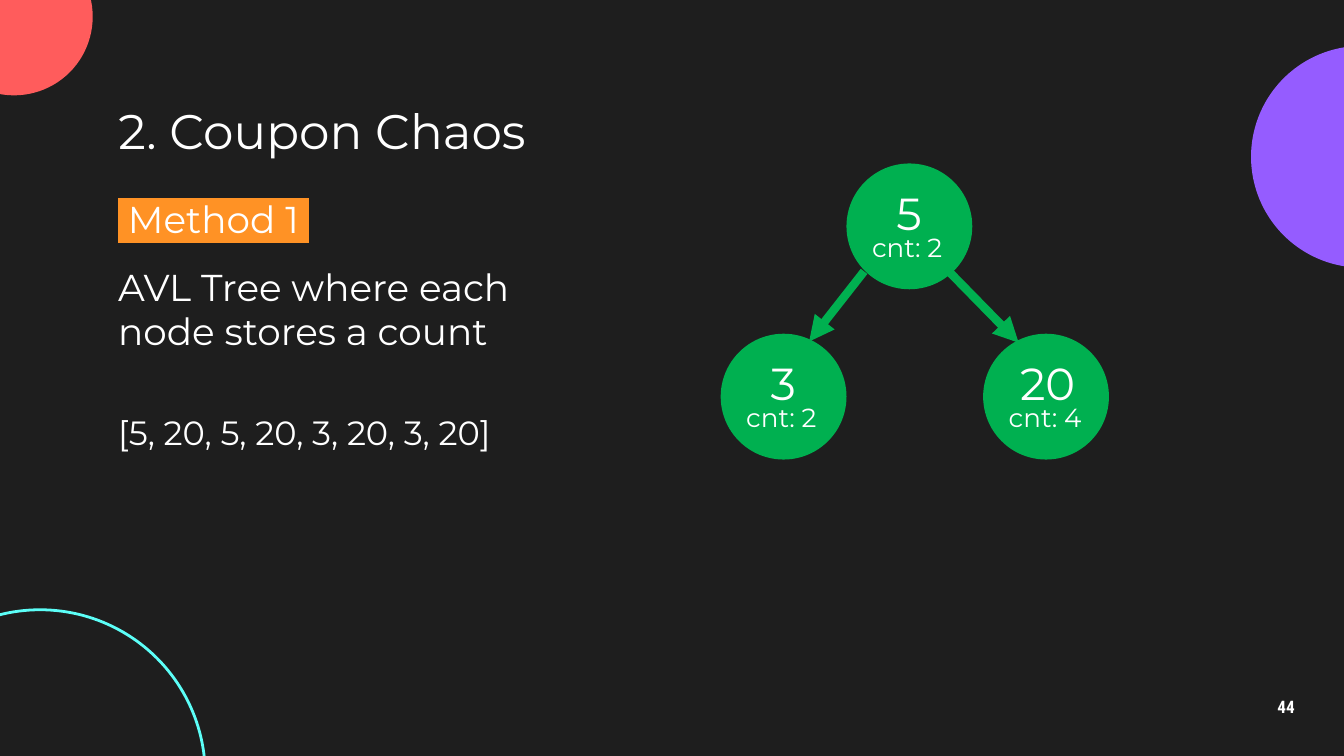
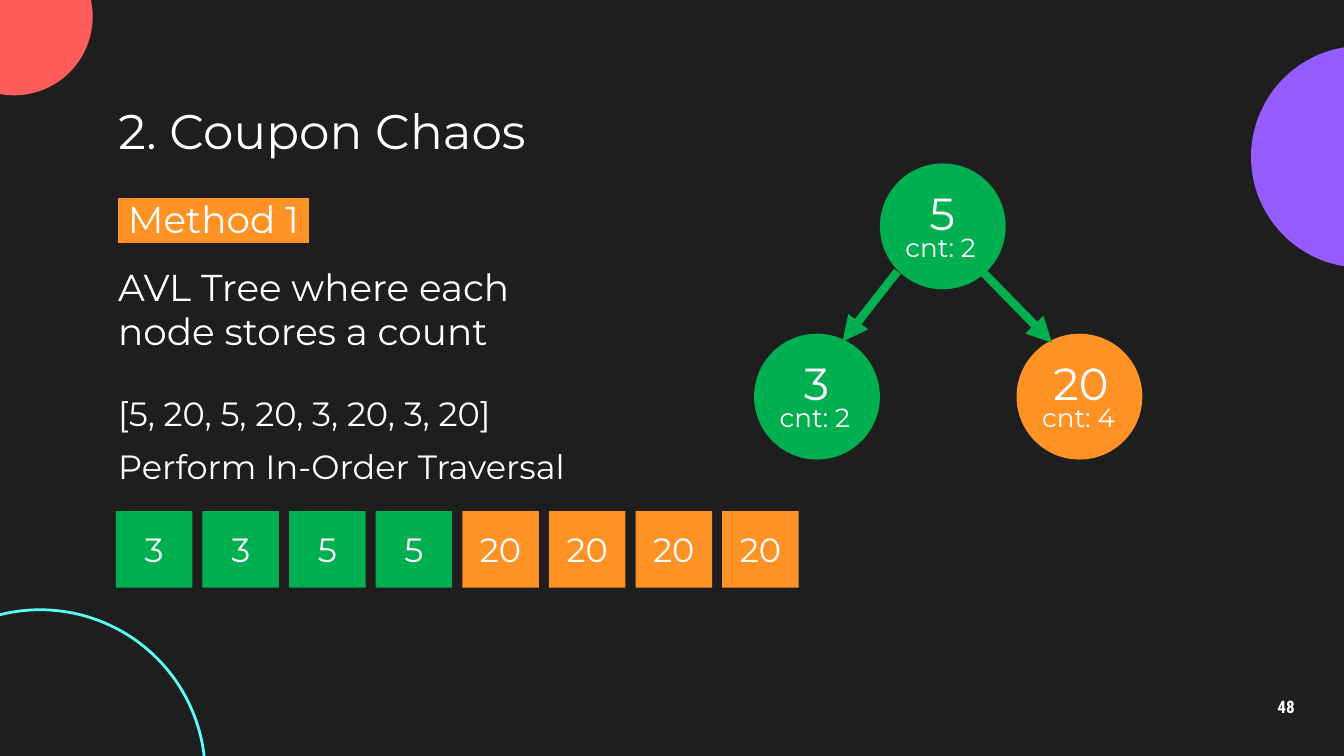
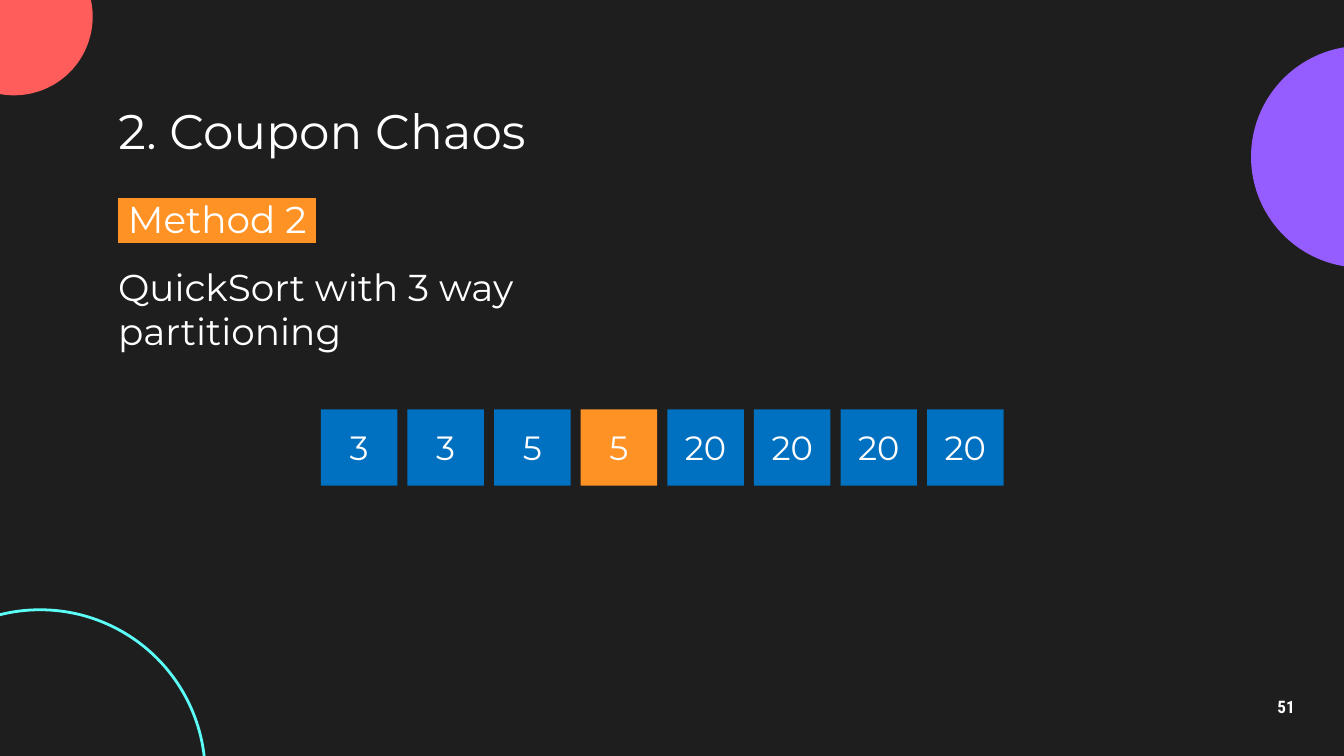
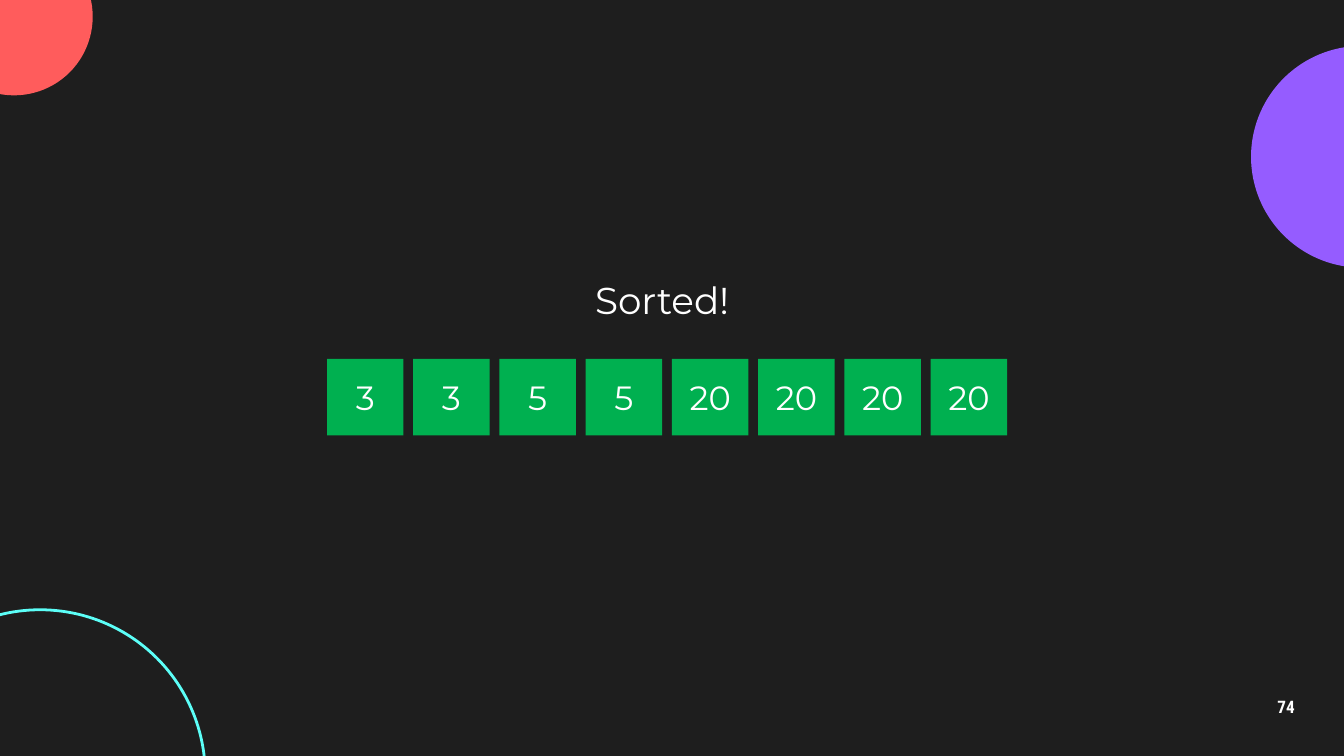
import pptx
import pptx.dml.color
import pptx.enum.shapes
import pptx.enum.text
import pptx.oxml
import pptx.oxml.ns
import pptx.util
from lxml import etree

Pt = pptx.util.Pt
RGBColor = pptx.dml.color.RGBColor
SHAPES = pptx.enum.shapes.MSO_SHAPE
ALIGN = pptx.enum.text.PP_ALIGN
ANCHOR = pptx.enum.text.MSO_ANCHOR
qn = pptx.oxml.ns.qn

BACKGROUND = RGBColor(0x1E, 0x1E, 0x1E)
WHITE = RGBColor(0xFF, 0xFF, 0xFF)
PURPLE = RGBColor(0x95, 0x5C, 0xFF)
CORAL = RGBColor(0xFF, 0x5C, 0x5C)
CYAN = RGBColor(0x5C, 0xFF, 0xF8)
GREEN = RGBColor(0x00, 0xB0, 0x50)
ORANGE = RGBColor(0xFF, 0x92, 0x25)
BLUE = RGBColor(0x00, 0x70, 0xC0)

TITLE = "2. Coupon Chaos"
COUPONS = "[5, 20, 5, 20, 3, 20, 3, 20]"
SORTED_COUPONS = [3, 3, 5, 5, 20, 20, 20, 20]
AVL_METHOD = (" Method 1 ", "AVL Tree where each node stores a count")
QUICKSORT_METHOD = (" Method 2 ", "QuickSort with 3 way partitioning")

# Captions: text, top. Rows: left, top, pitch, colours.
SLIDES = [
    {
        "number": 44, "title": TITLE, "method": AVL_METHOD,
        "captions": [(COUPONS, 217.4)],
        "tree": {"left": 453.5, "colors": [GREEN, GREEN, GREEN]},
    },
    {
        "number": 48, "title": TITLE, "method": AVL_METHOD,
        "captions": [(COUPONS, 206.9), ("Perform In-Order Traversal", 235.4)],
        "tree": {"left": 471.4, "colors": [GREEN, GREEN, ORANGE]},
        "row": (62.1, 273.9, 46.4, [GREEN] * 4 + [ORANGE] * 4),
    },
    {
        "number": 51, "title": TITLE, "method": QUICKSORT_METHOD,
        "row": (171.9, 219.3, 46.4, [BLUE] * 3 + [ORANGE] + [BLUE] * 4),
    },
    {
        "number": 74, "message": "Sorted!",
        "row": (175.2, 192.3, 46.2, [GREEN] * 8),
    },
]

# Tree geometry is relative to the top left of the root node.
NODE_SIZE = 67.4
TREE_TOP = 87.6
NODES = [("5", "cnt: 2", 0, 0), ("3", "cnt: 2", -67.4, 91.2), ("20", "cnt: 4", 73.2, 91.2)]
ARROWS = [(9.4, 57.8, -20, 95.4), (55.4, 58.4, 92.2, 96)]
VALUE_BOXES = {1: (19.6, 27.4), 2: (12.7, 47.5)}  # digits: (offset, width)
CELL_SIZE = 41

DECORATIONS = [
    ((670.2, 24.6, 118.8, 118.8), PURPLE, None),
    ((-34.6, -33.2, 84.3, 84.3), CORAL, None),
    ((-67, 326.7, 177, 177), None, CYAN),
]


def format_text(paragraph, **values):
    settings = {"name": "Montserrat", "size": Pt(18), "bold": False, **values}
    for name, value in settings.items():
        setattr(paragraph.font, name, value)
    paragraph.font.color.rgb = WHITE


def format_frame(frame, inset=7.2, anchor=ANCHOR.TOP):
    settings = {
        "word_wrap": True,
        "auto_size": pptx.enum.text.MSO_AUTO_SIZE.NONE,
        "vertical_anchor": anchor,
        "margin_left": Pt(7.2), "margin_right": Pt(7.2),
        "margin_top": Pt(inset), "margin_bottom": Pt(inset),
    }
    for name, value in settings.items():
        setattr(frame, name, value)


def add_text(slide, box, text, size, align=ALIGN.LEFT, inset=7.2, anchor=ANCHOR.TOP, **font):
    frame = slide.shapes.add_textbox(*map(Pt, box)).text_frame
    format_frame(frame, inset, anchor)
    paragraph = frame.paragraphs[0]
    paragraph.text = text
    paragraph.alignment = align
    format_text(paragraph, size=Pt(size), **font)
    return frame


def add_filled_shape(slide, kind, box, fill, line=None):
    shape = slide.shapes.add_shape(kind, *map(Pt, box))
    shape.shadow.inherit = False
    if fill is None:
        shape.fill.background()
    else:
        shape.fill.solid()
        shape.fill.fore_color.rgb = fill
    if line is None:
        shape.line.fill.background()
    else:
        shape.line.color.rgb = line
        shape.line.width = Pt(1.5)
    return shape


def add_title(slide, text):
    title = slide.shapes.title
    title.left, title.top, title.width, title.height = map(Pt, (56.2, 51.1, 607.7, 36.7))
    format_frame(title.text_frame, anchor=ANCHOR.MIDDLE)
    paragraph = title.text_frame.paragraphs[0]
    paragraph.text = text
    paragraph.alignment = ALIGN.LEFT
    format_text(paragraph, size=Pt(26))


def highlight(run, color):
    run.font.color.rgb = WHITE
    fill = run.font._element.find(qn("a:solidFill"))
    mark = pptx.oxml.parse_xml(
        f'<a:highlight {pptx.oxml.ns.nsdecls("a")}><a:srgbClr val="{color}"/></a:highlight>')
    fill.addnext(mark)


def add_method(slide, label, description):
    frame = add_text(slide, (56.2, 98.1, 270, 36.7), label, 20)
    highlight(frame.paragraphs[0].runs[0], ORANGE)
    paragraph = frame.add_paragraph()
    paragraph.text = description
    paragraph.space_before = Pt(12)
    format_text(paragraph, size=Pt(20))


def add_arrow(slide, points):
    arrow = slide.shapes.add_connector(
        pptx.enum.shapes.MSO_CONNECTOR.STRAIGHT, *map(Pt, points))
    arrow.line.color.rgb = GREEN
    arrow.line.width = Pt(4.5)
    etree.SubElement(arrow.line._get_or_add_ln(), qn("a:tailEnd"), type="triangle")
    etree.SubElement(arrow.element.spPr, qn("a:effectLst"))


def add_tree(slide, left, colors):
    for (value, count, right, down), color in zip(NODES, colors):
        x, y = left + right, TREE_TOP + down
        add_filled_shape(slide, SHAPES.OVAL, (x, y, NODE_SIZE, NODE_SIZE), color)
        offset, width = VALUE_BOXES[len(value)]
        add_text(slide, (x + offset, y + 4.4, width, 36.7), value, 24)
        add_text(slide, (x + 6.6, y + 29.2, 55.4, 36.7), count, 14)
    for x1, y1, x2, y2 in ARROWS:
        add_arrow(slide, (left + x1, TREE_TOP + y1, left + x2, TREE_TOP + y2))


def add_row(slide, left, top, pitch, colors):
    for index, (coupon, color) in enumerate(zip(SORTED_COUPONS, colors)):
        box = (left + index * pitch, top, CELL_SIZE, CELL_SIZE)
        frame = add_filled_shape(slide, SHAPES.RECTANGLE, box, color).text_frame
        format_frame(frame, 3.6, ANCHOR.MIDDLE)
        paragraph = frame.paragraphs[0]
        paragraph.text = str(coupon)
        paragraph.alignment = ALIGN.CENTER
        format_text(paragraph)


def add_slide(presentation, content):
    layout = presentation.slide_layouts[5 if "title" in content else 6]
    slide = presentation.slides.add_slide(layout)
    number = add_text(slide, (667.4, 367.2, 43.2, 24.5), str(content["number"]), 9.2,
                      ALIGN.CENTER, anchor=ANCHOR.MIDDLE, name="Roboto Condensed", bold=True)
    number.paragraphs[0].line_spacing = 0.9
    if "title" in content:
        add_title(slide, content["title"])
    if "method" in content:
        add_method(slide, *content["method"])
    for text, top in content.get("captions", []):
        add_text(slide, (56.2, top, 428.4, 29), text, 18, inset=3.6)
    if "tree" in content:
        add_tree(slide, **content["tree"])
    if "row" in content:
        add_row(slide, *content["row"])
    if "message" in content:
        add_text(slide, (183.4, 141.1, 342.7, 36.7), content["message"], 20, ALIGN.CENTER)


def decorate_master(presentation):
    """Draw the circles on the first slide, then move them to the master."""
    master = presentation.slide_master
    master.background.fill.solid()
    master.background.fill.fore_color.rgb = BACKGROUND
    for box, fill, line in DECORATIONS:
        circle = add_filled_shape(presentation.slides[0], SHAPES.OVAL, box, fill, line)
        # Shape numbers must differ from those the master already uses.
        used = [shape.shape_id for shape in master.shapes]
        circle.element.nvSpPr.cNvPr.set("id", str(max(used) + 1))
        master.shapes.element.append(circle.element)


def main():
    presentation = pptx.Presentation()
    presentation.slide_width, presentation.slide_height = Pt(720), Pt(405)
    for content in SLIDES:
        add_slide(presentation, content)
    decorate_master(presentation)
    presentation.save("out.pptx")


if __name__ == "__main__":
    main()
